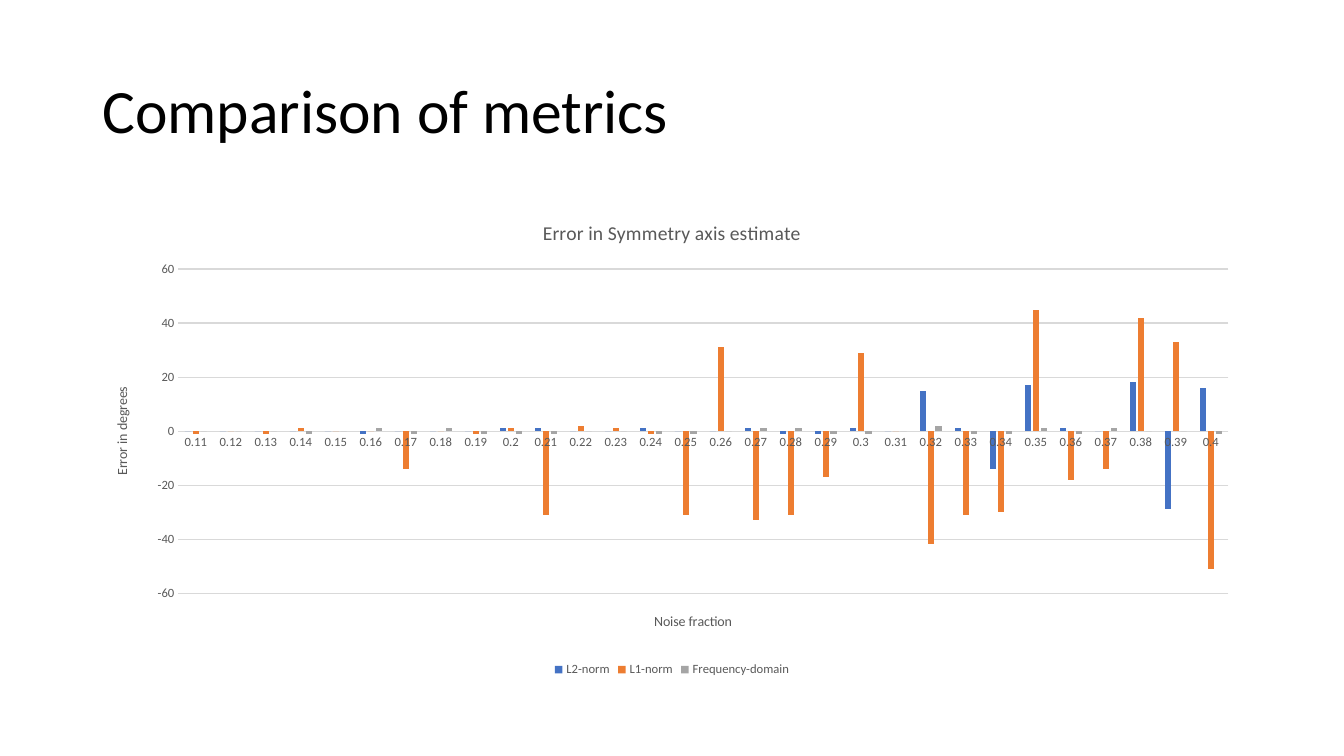
from pptx import Presentation
from pptx.chart.data import CategoryChartData
from pptx.dml.color import RGBColor
from pptx.enum import chart as ch, text
from pptx.util import Cm, Pt

hues = {
    "ink": "000000",
    "label": "595959",
    "grid": "D9D9D9",
    "L2-norm": "4472C4",
    "L1-norm": "ED7D31",
    "Frequency-domain": "A5A5A5",
}
errors = {
    "L2-norm": [0, 0, 0, 0, 0, -1, 0, 0, 0, 1,
                1, 0, 0, 1, 0, 0, 1, -1, -1, 1,
                0, 15, 1, -14, 17, 1, 0, 18, -29, 16],
    "L1-norm": [-1, 0, -1, 1, 0, 0, -14, 0, -1, 1,
                -31, 2, 1, -1, -31, 31, -33, -31, -17, 29,
                0, -42, -31, -30, 45, -18, -14, 42, 33, -51],
    "Frequency-domain": [0, 0, 0, -1, 0, 1, -1, 1, -1, -1,
                         -1, 0, 0, -1, -1, 0, 1, 1, -1, -1,
                         0, 2, -1, -1, 1, -1, 1, 0, 0, -1],
}


def style(font, size, hue):
    font.name = "Calibri"
    font.size = Pt(size)
    font.bold = False
    font.color.rgb = RGBColor.from_string(hues[hue])


def label(owner, words, size):
    frame = owner.text_frame
    frame.text = words
    style(frame.paragraphs[0].font, size, "label")


deck = Presentation()
deck.slide_width, deck.slide_height = Cm(33.87), Cm(19.05)
slide = deck.slides.add_slide(deck.slide_layouts[5])

title = slide.shapes.title
title.left, title.top, title.width, title.height = Cm(2.33), Cm(1.01), Cm(29.21), Cm(3.68)
frame = title.text_frame
frame.text = "Comparison of metrics"
frame.vertical_anchor = text.MSO_ANCHOR.MIDDLE
head = frame.paragraphs[0]
head.alignment = text.PP_ALIGN.LEFT
head.line_spacing = 0.9
style(head.font, 44, "ink")

data = CategoryChartData()
data.categories = [f"{n / 100:g}" for n in range(11, 41)]
for name, vals in errors.items():
    data.add_series(name, vals)
chart = slide.shapes.add_chart(
    ch.XL_CHART_TYPE.COLUMN_CLUSTERED,
    Cm(2.33), Cm(5.07), Cm(29.21), Cm(12.09), data).chart
style(chart.font, 10, "label")
chart.has_title = True
label(chart.chart_title, "Error in Symmetry axis estimate", 14)
chart.chart_title.include_in_layout = False

plot = chart.plots[0]
plot.vary_by_categories = False
plot.gap_width, plot.overlap = 219, -27
for bars in plot.series:
    bars.invert_if_negative = False
    bars.format.fill.solid()
    bars.format.fill.fore_color.rgb = RGBColor.from_string(hues[bars.name])

xaxis, yaxis = chart.category_axis, chart.value_axis
for axis, words in (xaxis, "Noise fraction"), (yaxis, "Error in degrees"):
    label(axis.axis_title, words, 10)
    axis.major_tick_mark = axis.minor_tick_mark = ch.XL_TICK_MARK.NONE
    style(axis.tick_labels.font, 9, "label")
yaxis.minimum_scale, yaxis.maximum_scale, yaxis.major_unit = -60, 60, 20
yaxis.format.line.fill.background()
for line in xaxis.format.line, yaxis.major_gridlines.format.line:
    line.color.rgb = RGBColor.from_string(hues["grid"])
    line.width = Pt(0.75)

chart.has_legend = True
chart.legend.position = ch.XL_LEGEND_POSITION.BOTTOM
chart.legend.include_in_layout = False
style(chart.legend.font, 9, "label")

deck.save("out.pptx")
